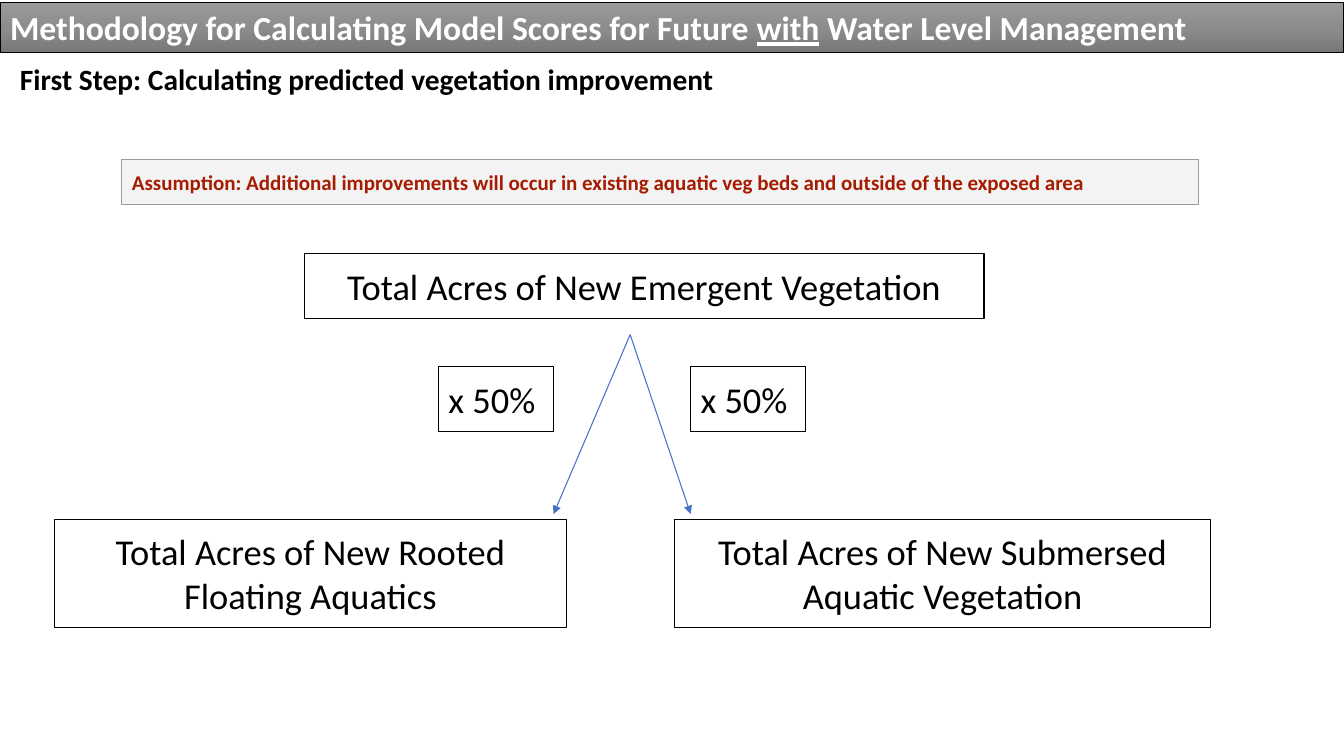
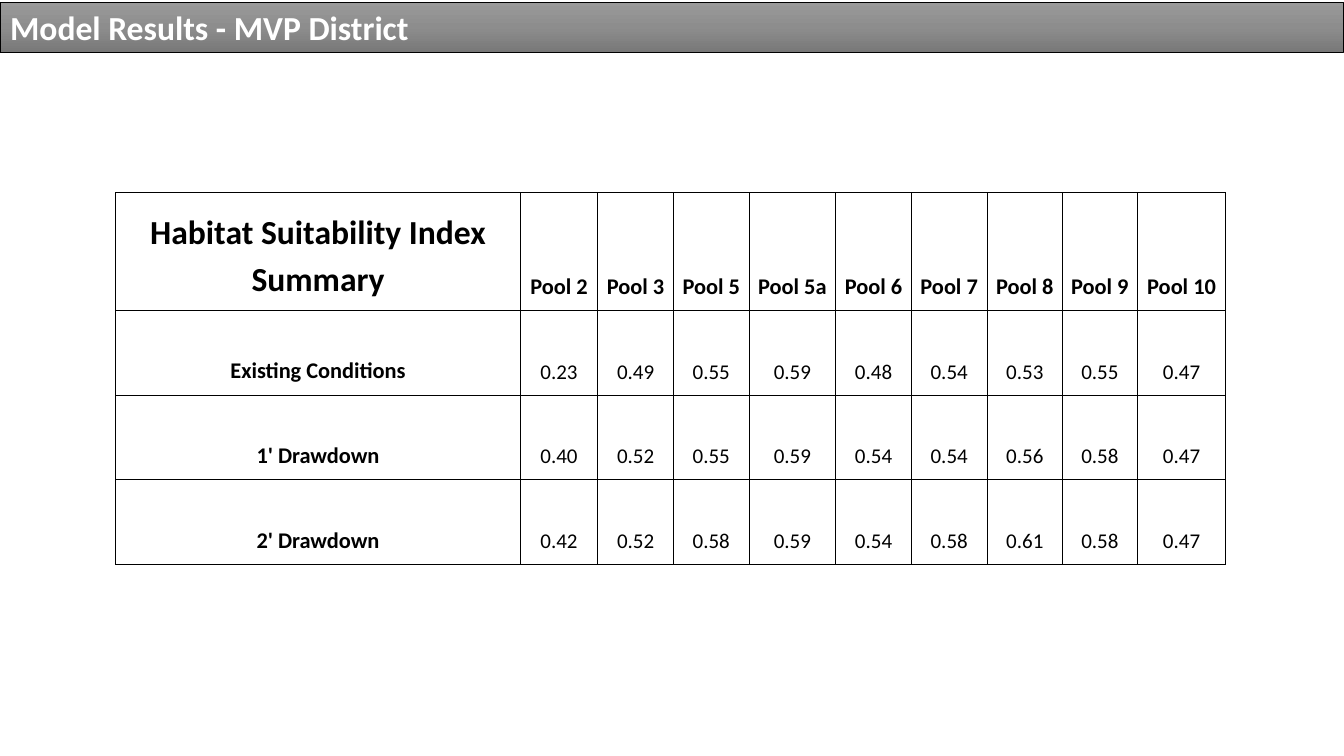
from copy import deepcopy

from lxml.etree import SubElement
from pptx import Presentation
from pptx.dml.color import RGBColor
from pptx.enum.shapes import MSO_CONNECTOR, MSO_SHAPE
from pptx.enum.text import MSO_ANCHOR, MSO_AUTO_SIZE, PP_ALIGN
from pptx.oxml.ns import qn
from pptx.util import Pt

PX = 9144  # EMU per px, 100 px to the inch
SLIDE_WIDTH, SLIDE_HEIGHT = 1333, 750
FONT = "Calibri"
THIN = Pt(0.75)

BLACK = RGBColor(0x00, 0x00, 0x00)
WHITE = RGBColor(0xFF, 0xFF, 0xFF)
GREY = RGBColor(0x9A, 0x9A, 0x9A)
PALE_GREY = RGBColor(0xF3, 0xF3, 0xF3)
RED = RGBColor(0xA6, 0x1C, 0x00)
BLUE = RGBColor(0x44, 0x72, 0xC4)
BAND_STOPS = [(0, GREY), (0.5, RGBColor(0x8D, 0x8D, 0x8D)),
              (1, RGBColor(0x78, 0x78, 0x78))]

# Each title is a list of (text, underlined)
METHOD_TITLE = [
    ("Methodology for Calculating Model Scores for Future ", False),
    ("with", True),
    (" Water Level Management", False),
]
RESULTS_TITLE = [("Model Results - MVP District", False)]

SUBTITLE = "First Step: Calculating predicted vegetation improvement"
ASSUMPTION = ("Assumption: Additional improvements will occur in existing "
              "aquatic veg beds and outside of the exposed area")

# (text, (left, top, width, height), fill, alignment)
FLOW_BOXES = [
    ("Total Acres of New Emergent Vegetation", (302, 252, 674, 64),
     None, PP_ALIGN.CENTER),
    ("x 50%", (435, 364, 114, 64), WHITE, PP_ALIGN.LEFT),
    ("x 50%", (685, 364, 114, 64), WHITE, PP_ALIGN.LEFT),
    ("Total Acres of New Rooted Floating Aquatics", (54, 515, 508, 108),
     None, PP_ALIGN.CENTER),
    ("Total Acres of New Submersed Aquatic Vegetation", (669, 515, 532, 108),
     None, PP_ALIGN.CENTER),
]
ARROW_START = (625, 332)
ARROW_ENDS = [(549, 510), (685, 510)]

TABLE_LEFT, TABLE_TOP = 115, 191
COLUMN_WIDTHS = [401, 77, 75, 75, 86, 75, 75, 75, 74, 88]
ROW_HEIGHTS = [117, 84, 84, 84]
TABLE_ROWS = [
    ["Habitat Suitability Index Summary", "Pool 2", "Pool 3", "Pool 5",
     "Pool 5a", "Pool 6", "Pool 7", "Pool 8", "Pool 9", "Pool 10"],
    ["Existing Conditions", "0.23", "0.49", "0.55", "0.59", "0.48", "0.54",
     "0.53", "0.55", "0.47"],
    ["1' Drawdown", "0.40", "0.52", "0.55", "0.59", "0.54", "0.54",
     "0.56", "0.58", "0.47"],
    ["2' Drawdown", "0.42", "0.52", "0.58", "0.59", "0.54", "0.58",
     "0.61", "0.58", "0.47"],
]


def to_emu(lengths):
    return [length * PX for length in lengths]


def set_attributes(target, **values):
    for name, value in values.items():
        setattr(target, name, value)


def set_font(font, size, color, bold=False):
    set_attributes(font, name=FONT, size=Pt(size), bold=bold)
    font.color.rgb = color


def set_frame(frame, inset_x, inset_y, anchor=MSO_ANCHOR.TOP):
    set_attributes(frame, word_wrap=True, auto_size=MSO_AUTO_SIZE.NONE,
                   vertical_anchor=anchor,
                   margin_left=inset_x * PX, margin_right=inset_x * PX,
                   margin_top=inset_y * PX, margin_bottom=inset_y * PX)


def set_outline(shape, color):
    shape.line.color.rgb = color
    shape.line.width = THIN


def fill_band(shape):
    """Fill the shape with the vertical three-stop gradient."""
    shape.fill.gradient()
    shape.fill.gradient_angle = 270
    stop_list = shape._element.spPr.find(qn("a:gradFill")).find(qn("a:gsLst"))
    stop_list.append(deepcopy(stop_list[0]))
    for stop, (position, color) in zip(shape.fill.gradient_stops, BAND_STOPS):
        stop.position = position
        stop.color.rgb = color


def add_titled_slide(presentation, title_runs):
    slide = presentation.slides.add_slide(presentation.slide_layouts[5])
    title = slide.shapes.title
    left, top, width, height = to_emu((0, 2, SLIDE_WIDTH, 50))
    set_attributes(title, left=left, top=top, width=width, height=height)
    fill_band(title)
    set_outline(title, BLACK)
    set_frame(title.text_frame, 10, 5, MSO_ANCHOR.MIDDLE)
    paragraph = title.text_frame.paragraphs[0]
    paragraph.alignment = PP_ALIGN.LEFT
    for text, underlined in title_runs:
        run = paragraph.add_run()
        run.text = text
        set_font(run.font, 24, WHITE, bold=True)
        run.font.underline = underlined
    return slide


def write_text(shape, text, size, color, bold, alignment):
    set_frame(shape.text_frame, 10, 10)
    paragraph = shape.text_frame.paragraphs[0]
    paragraph.text = text
    paragraph.alignment = alignment
    set_font(paragraph.runs[0].font, size, color, bold)


def add_box(slide, text, place, fill=None, outline=BLACK, size=26,
            color=BLACK, bold=False, alignment=PP_ALIGN.LEFT):
    box = slide.shapes.add_shape(MSO_SHAPE.RECTANGLE, *to_emu(place))
    box.shadow.inherit = False
    if fill is None:
        box.fill.background()
    else:
        box.fill.solid()
        box.fill.fore_color.rgb = fill
    set_outline(box, outline)
    write_text(box, text, size, color, bold, alignment)


def add_arrow(slide, start, end):
    arrow = slide.shapes.add_connector(MSO_CONNECTOR.STRAIGHT,
                                       *to_emu(start + end))
    set_outline(arrow, BLUE)
    properties = arrow._element.spPr
    SubElement(properties.find(qn("a:ln")), qn("a:tailEnd"), type="triangle")
    SubElement(properties, qn("a:effectLst"))


def add_cell_borders(cell):
    properties = cell._tc.get_or_add_tcPr()
    for side in ("a:lnL", "a:lnR", "a:lnT", "a:lnB"):
        border = SubElement(properties, qn(side), w=str(THIN))
        fill = SubElement(border, qn("a:solidFill"))
        SubElement(fill, qn("a:srgbClr"), val=str(BLACK))


def write_cell(cell, text, size, bold):
    add_cell_borders(cell)
    cell.fill.background()
    set_attributes(cell, vertical_anchor=MSO_ANCHOR.BOTTOM,
                   margin_left=3 * PX, margin_right=3 * PX,
                   margin_top=10 * PX, margin_bottom=10 * PX)
    paragraph = cell.text_frame.paragraphs[0]
    paragraph.text = text
    set_attributes(paragraph, alignment=PP_ALIGN.CENTER, line_spacing=1.15)
    set_font(paragraph.runs[0].font, size, BLACK, bold)


def add_results_table(slide):
    place = (TABLE_LEFT, TABLE_TOP, sum(COLUMN_WIDTHS), sum(ROW_HEIGHTS))
    table = slide.shapes.add_table(len(ROW_HEIGHTS), len(COLUMN_WIDTHS),
                                   *to_emu(place)).table
    set_attributes(table, first_row=False, horz_banding=False)
    for column, width in zip(table.columns, COLUMN_WIDTHS):
        column.width = width * PX
    for row, height in zip(table.rows, ROW_HEIGHTS):
        row.height = height * PX
    for i, texts in enumerate(TABLE_ROWS):
        for j, text in enumerate(texts):
            is_heading = i == 0 or j == 0
            size = 24 if i == j == 0 else 16 if is_heading else 15
            write_cell(table.cell(i, j), text, size, is_heading)


def build_method_slide(presentation):
    slide = add_titled_slide(presentation, METHOD_TITLE)
    subtitle = slide.shapes.add_textbox(*to_emu((10, 51, 1314, 108)))
    write_text(subtitle, SUBTITLE, 21, BLACK, True, PP_ALIGN.LEFT)
    add_box(slide, ASSUMPTION, (121, 158, 1068, 45), fill=PALE_GREY,
            outline=GREY, size=15, color=RED, bold=True)
    for text, place, fill, alignment in FLOW_BOXES:
        add_box(slide, text, place, fill=fill, alignment=alignment)
    for end in ARROW_ENDS:
        add_arrow(slide, ARROW_START, end)


def build_results_slide(presentation):
    slide = add_titled_slide(presentation, RESULTS_TITLE)
    add_results_table(slide)


def main():
    presentation = Presentation()
    presentation.slide_width = SLIDE_WIDTH * PX
    presentation.slide_height = SLIDE_HEIGHT * PX
    build_method_slide(presentation)
    build_results_slide(presentation)
    presentation.save("out.pptx")


if __name__ == "__main__":
    main()
